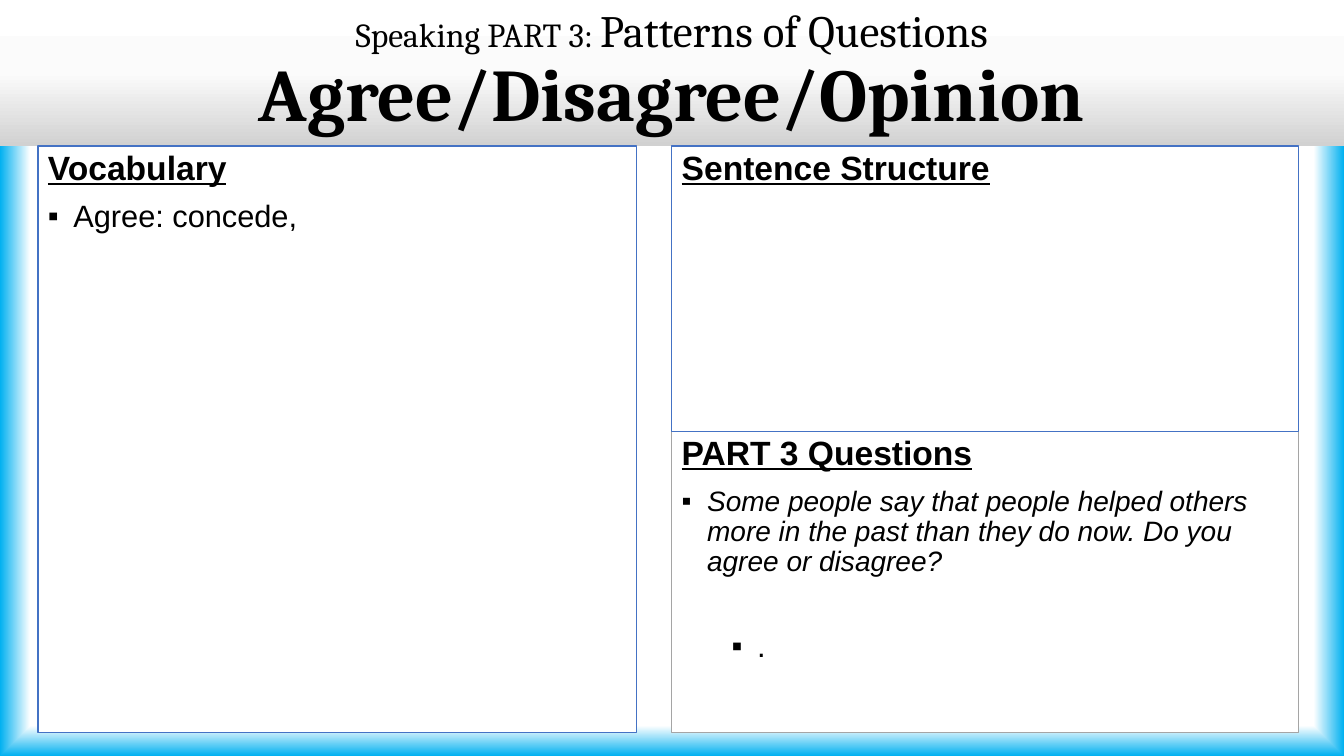
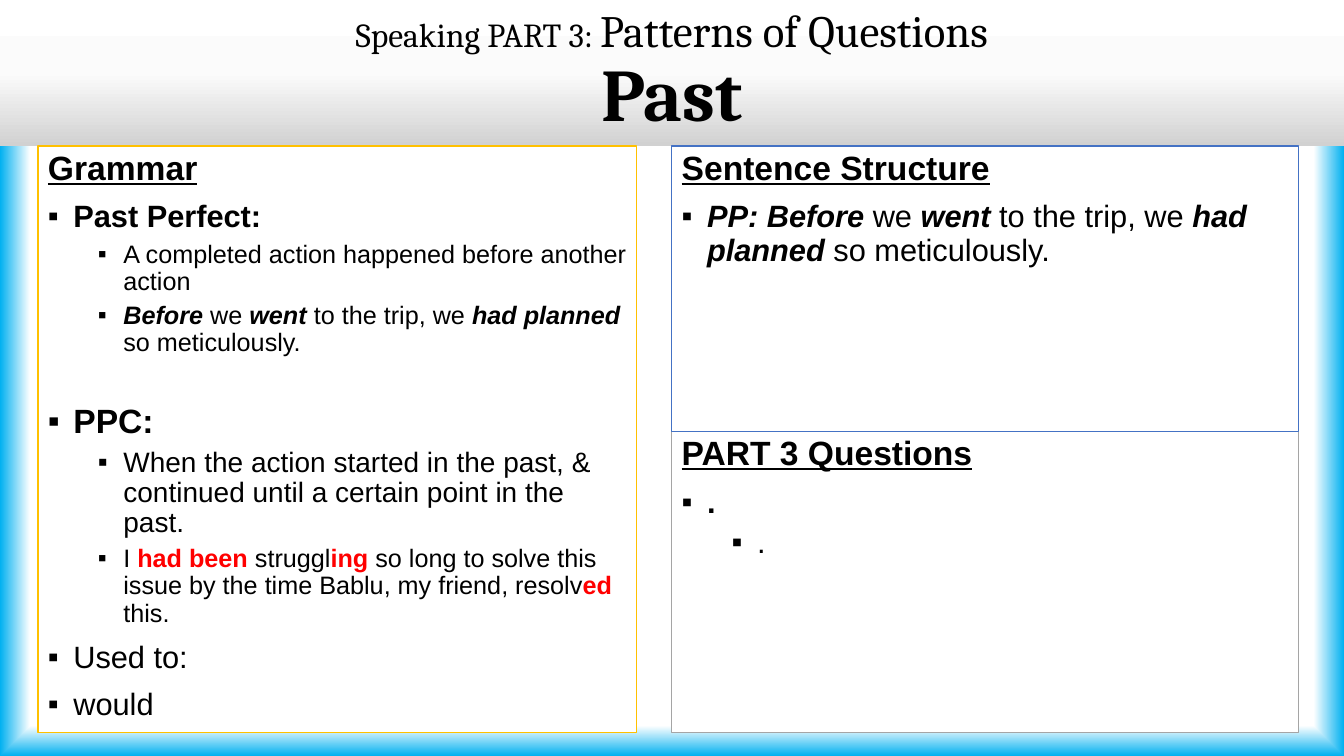
from dataclasses import dataclass

from lxml.etree import SubElement
from pptx import Presentation
from pptx.dml.color import RGBColor
from pptx.enum.shapes import MSO_SHAPE
from pptx.enum.text import MSO_ANCHOR, PP_ALIGN
from pptx.oxml.ns import qn
from pptx.util import Cm, Pt

COLORS = {
    "text": "000000",
    "highlight": "FF0000",
    "panel": "FFFFFF",
    "blue": "4472C4",
    "gold": "FFC000",
    "gray": "A5A5A5",
}
BACKGROUND_STOPS = [(92, "FFFFFF"), (100, "00B0F0")]
BAND_STOPS = [(0, "FFFFFF"), (50, "FBFBFB"), (100, "D1D1D1")]

TITLE_FONT = "Cambria"
BODY_FONT = "Arial"
LINE_SPACING = 0.9

SLIDE_WIDTH, SLIDE_HEIGHT = 33.87, 19.05
BAND_HEIGHT = 3.68
PANEL_BOTTOM = 18.46
SPLIT = 10.88
LEFT_X, LEFT_WIDTH = 0.96, 15.09
RIGHT_X, RIGHT_WIDTH = 16.93, 15.8

# Boxes are left, top, width, height in centimetres.
TITLE_BOX = (0, 0, SLIDE_WIDTH, BAND_HEIGHT)
LEFT_BOX = (LEFT_X, BAND_HEIGHT, LEFT_WIDTH, PANEL_BOTTOM - BAND_HEIGHT)
STRUCTURE_BOX = (RIGHT_X, BAND_HEIGHT, RIGHT_WIDTH, SPLIT - BAND_HEIGHT)
QUESTIONS_BOX = (RIGHT_X, SPLIT, RIGHT_WIDTH, PANEL_BOTTOM - SPLIT)


@dataclass
class Bullet:
    """Runs are (text, style); style letters: b bold, i italic, r highlighted."""
    runs: list
    size: int = 22
    level: int = 0
    space_before: int = 0


def rgb(name):
    return RGBColor.from_string(COLORS[name])


def set_gradient(fill, element, stops, angle=None):
    """Fill with the stops, along an angle or, without one, from the centre outwards."""
    fill.gradient()
    gradient = element.find(".//" + qn("a:gradFill"))
    for child in list(gradient):
        gradient.remove(child)
    stop_list = SubElement(gradient, qn("a:gsLst"))
    for position, color in stops:
        stop = SubElement(stop_list, qn("a:gs"), pos=str(position * 1000))
        SubElement(stop, qn("a:srgbClr"), val=color)
    if angle is None:
        direction = SubElement(gradient, qn("a:path"), path="rect")
        SubElement(direction, qn("a:fillToRect"), dict.fromkeys("ltrb", "50000"))
    else:
        SubElement(gradient, qn("a:lin"), ang=str(angle * 60000), scaled="0")


def add_box(slide, box, anchor):
    shape = slide.shapes.add_shape(MSO_SHAPE.RECTANGLE, *(Cm(length) for length in box))
    shape.shadow.inherit = False
    shape.text_frame.word_wrap = True
    shape.text_frame.vertical_anchor = anchor
    return shape


def add_run(paragraph, text, font_name, size, style=""):
    run = paragraph.add_run()
    run.text = text
    font = run.font
    font.name = font_name
    font.size = Pt(size)
    font.bold = "b" in style
    font.italic = "i" in style
    font.underline = "u" in style
    font.color.rgb = rgb("highlight" if "r" in style else "text")


def add_title_band(slide, box, topic):
    shape = add_box(slide, box, MSO_ANCHOR.MIDDLE)
    set_gradient(shape.fill, shape.element, BAND_STOPS, angle=90)
    shape.line.fill.background()
    paragraph = shape.text_frame.paragraphs[0]
    paragraph.alignment = PP_ALIGN.CENTER
    paragraph.line_spacing = LINE_SPACING
    add_run(paragraph, "Speaking PART 3: ", TITLE_FONT, 24)
    add_run(paragraph, "Patterns of Questions", TITLE_FONT, 32)
    paragraph.add_line_break()
    add_run(paragraph, topic, TITLE_FONT, 53, "b")


def add_bullet(text_frame, bullet):
    paragraph = text_frame.add_paragraph()
    paragraph.alignment = PP_ALIGN.LEFT
    paragraph.level = bullet.level
    paragraph.line_spacing = LINE_SPACING
    paragraph.space_before = Pt(bullet.space_before or (5 if bullet.level else 10))
    properties = paragraph._p.get_or_add_pPr()
    properties.set("marL", str(Cm(1.9 if bullet.level else 0.64)))
    properties.set("indent", str(-Cm(0.64)))
    SubElement(properties, qn("a:buFont"), typeface=BODY_FONT)
    SubElement(properties, qn("a:buChar"), char="▪")
    for text, style in bullet.runs:
        add_run(paragraph, text, BODY_FONT, bullet.size, style)


def add_panel(slide, box, border, heading, bullets):
    shape = add_box(slide, box, MSO_ANCHOR.TOP)
    shape.fill.solid()
    shape.fill.fore_color.rgb = rgb("panel")
    shape.line.color.rgb = rgb(border)
    shape.line.width = Pt(1)
    paragraph = shape.text_frame.paragraphs[0]
    paragraph.alignment = PP_ALIGN.LEFT
    paragraph.line_spacing = LINE_SPACING
    paragraph.space_before = Pt(10)
    add_run(paragraph, heading, BODY_FONT, 24, "bu")
    for bullet in bullets:
        add_bullet(shape.text_frame, bullet)


def add_pattern_slide(presentation, topic, left_border, left_heading,
                      left_bullets, question_bullets, structure_bullets):
    slide = presentation.slides.add_slide(presentation.slide_layouts[6])
    add_title_band(slide, TITLE_BOX, topic)
    add_panel(slide, LEFT_BOX, left_border, left_heading, left_bullets)
    add_panel(slide, QUESTIONS_BOX, "gray", "PART 3 Questions", question_bullets)
    add_panel(slide, STRUCTURE_BOX, "blue", "Sentence Structure", structure_bullets)


def add_opinion_slide(presentation):
    question = ("Some people say that people helped others more in the past "
                "than they do now. Do you agree or disagree?")
    add_pattern_slide(
        presentation, "Agree/Disagree/Opinion", "blue", "Vocabulary",
        left_bullets=[Bullet([("Agree: concede,", "")])],
        question_bullets=[
            Bullet([(question, "i")], size=20),
            Bullet([(".", "")], level=1, space_before=38),
        ],
        structure_bullets=[],
    )


def add_past_slide(presentation):
    trip_example = [
        ("we ", ""), ("went ", "bi"), ("to the trip, we ", ""),
        ("had planned ", "bi"), ("so meticulously.", ""),
    ]
    struggle_example = [
        ("I ", ""), ("had been ", "br"), ("struggl", ""), ("ing", "br"),
        (" so long to solve this issue by the time Bablu, my friend, resolv", ""),
        ("ed", "br"), (" this.", ""),
    ]
    continuous_rule = ("When the action started in the past, & continued "
                       "until a certain point in the past.")
    add_pattern_slide(
        presentation, "Past", "gold", "Grammar",
        left_bullets=[
            Bullet([("Past Perfect:", "b")]),
            Bullet([("A completed action happened before another action", "")],
                   size=18, level=1),
            Bullet([("Before ", "bi"), *trip_example], size=18, level=1),
            Bullet([("PPC:", "b")], size=24, space_before=34),
            Bullet([(continuous_rule, "")], size=20, level=1),
            Bullet(struggle_example, size=18, level=1),
            Bullet([("Used to:", "")]),
            Bullet([("would", "")]),
        ],
        question_bullets=[Bullet([(".", "b")]), Bullet([(".", "")], level=1)],
        structure_bullets=[Bullet([("PP: Before ", "bi"), *trip_example])],
    )


def main():
    presentation = Presentation()
    presentation.slide_width = Cm(SLIDE_WIDTH)
    presentation.slide_height = Cm(SLIDE_HEIGHT)
    master = presentation.slide_master
    set_gradient(master.background.fill, master.element, BACKGROUND_STOPS)
    add_opinion_slide(presentation)
    add_past_slide(presentation)
    presentation.save("out.pptx")


if __name__ == "__main__":
    main()
